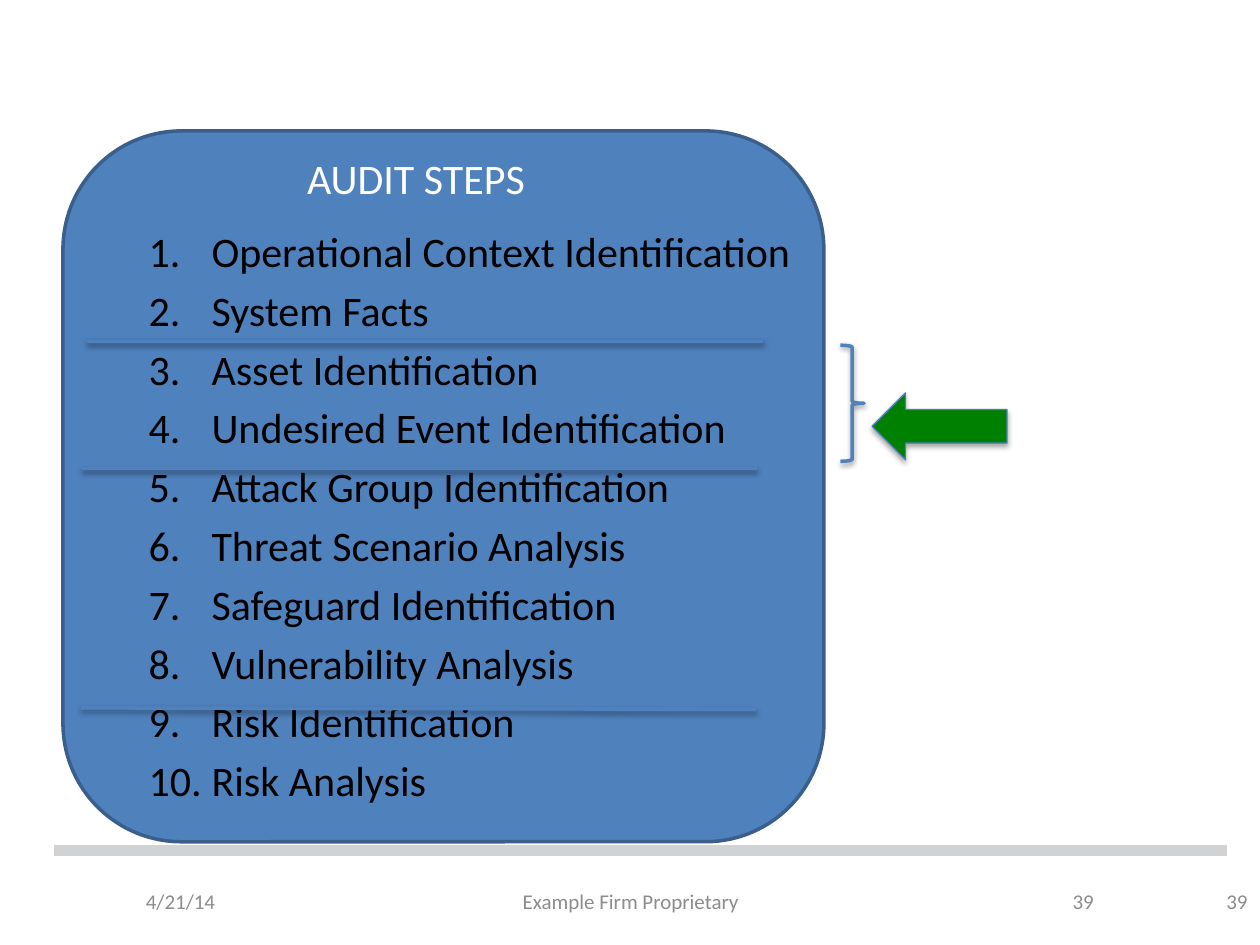
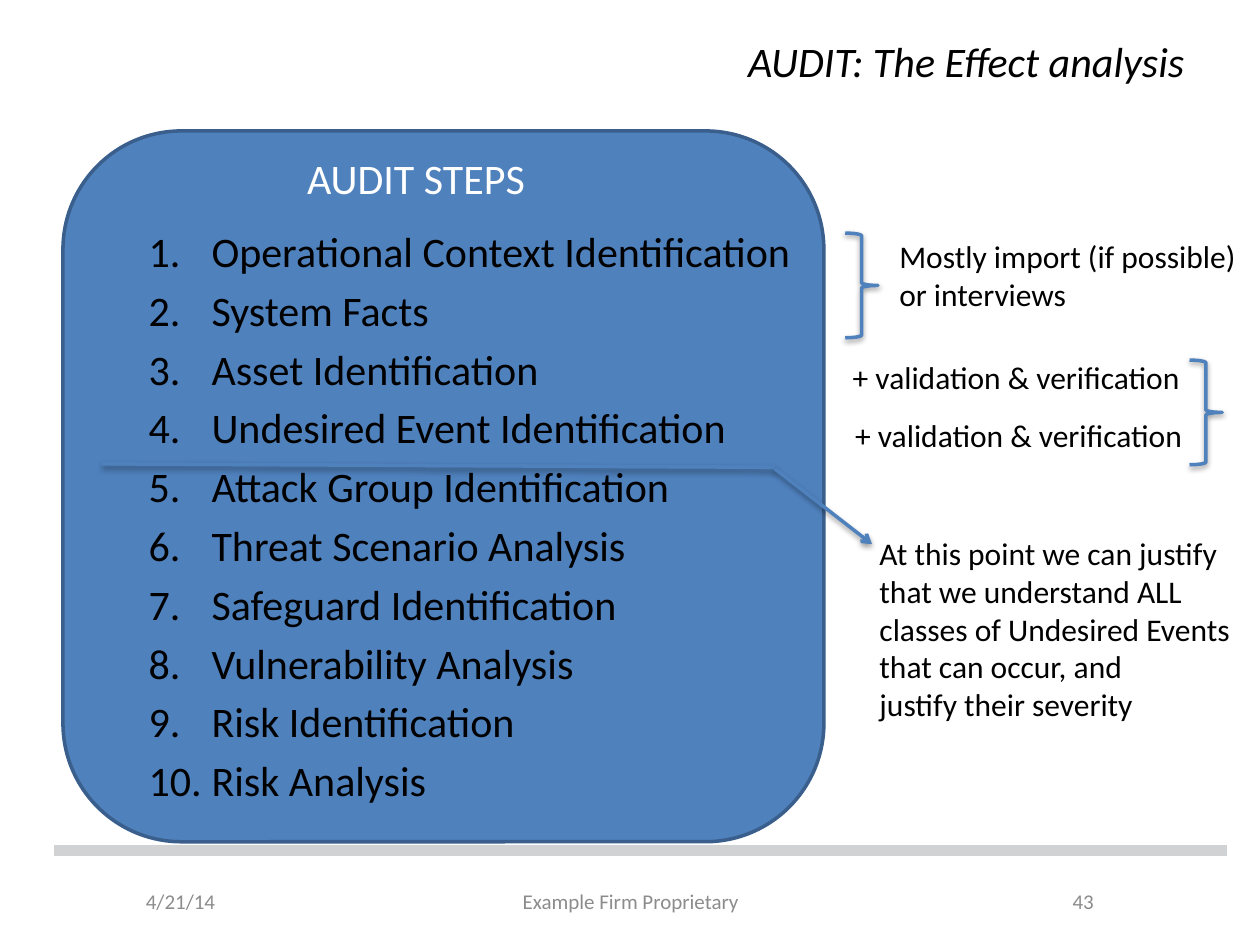
from lxml.etree import SubElement
from pptx import Presentation
from pptx.dml.color import RGBColor
from pptx.enum.shapes import MSO_CONNECTOR, MSO_SHAPE
from pptx.enum.text import MSO_ANCHOR, PP_ALIGN
from pptx.oxml.ns import qn
from pptx.util import Cm, Pt

# Content
STEPS = [
    "Operational Context Identification", "System Facts",
    "Asset Identification", "Undesired Event Identification",
    "Attack Group Identification", "Threat Scenario Analysis",
    "Safeguard Identification", "Vulnerability Analysis",
    "Risk Identification", "Risk Analysis",
]
PANEL_HEADING = "AUDIT STEPS"
DATE, OWNER = "4/21/14", "Example Firm Proprietary"

# Boxes are (left, top, width, height) and lines (x1, y1, x2, y2), in cm
SLIDES = [
    {
        "number": "39",
        "extra_number": True,
        "braces": [(16.94, 6.96, 0.48, 2.34)],
        "arrow": (17.58, 7.92, 2.72, 1.35),
        "dividers": [(1.75, 6.88, 15.39, 6.88), (1.65, 9.45, 15.27, 9.45),
                     (1.63, 14.27, 15.24, 14.3)],
    },
    {
        "number": "43",
        "title": "AUDIT: The Effect analysis",
        "braces": [(17.04, 4.7, 0.66, 2.11), (23.98, 7.26, 0.66, 2.11)],
        "notes": [
            ((17.88, 4.65, 7.52, 1.8),
             ["Mostly import (if possible)", "or interviews"]),
            ((16.94, 7.09, 7.19, 1.02), ["+ validation & verification"]),
            ((16.99, 8.26, 7.19, 1.02), ["+ validation & verification"]),
            ((17.48, 10.64, 7.9, 4.11),
             ["At this point we can justify", "that we understand ALL",
              "classes of Undesired Events", "that can occur, and",
              "justify their severity"]),
        ],
        "dividers": [(2.06, 9.35, 15.62, 9.42)],
        "pointer": (15.62, 9.45, 17.58, 10.97),
    },
]

# Shared look
COLORS = {"panel": "4F81BD", "panel_edge": "3A5F8C", "arrow": "008000",
          "arrow_edge": "4B7EBC", "rule": "D1D2D3", "footer": "8C8C8C",
          "text": "000000", "heading": "FFFFFF"}
FONT = "Calibri"
TITLE_BOX = (1.27, 0.53, 22.86, 1.4)
PANEL_BOX = (1.27, 2.64, 15.34, 14.33)
HEADING_BOX = (5.94, 2.95, 5.99, 1.27)
STEPS_BOX = (2.74, 4.42, 13.94, 12.42)
RULE = (1.09, 17.15, 24.74, 17.15)
FOOTER_TOP, FOOTER_HEIGHT = 17.65, 1.02
DATE_SPAN, OWNER_SPAN = (2.69, 4.5), (8.69, 8.05)
NUMBER_SPAN, EXTRA_SPAN = (18.21, 4.09), (21.31, 4.09)
SOFT_SHADOW = {"blurRad": 40000, "dist": 20000, "alpha": 38000}
ARROW_SHADOW = {"blurRad": 40000, "dist": 23000, "alpha": 35000}


def cm(values):
    return [Cm(v) for v in values]


def rgb(name):
    return RGBColor.from_string(COLORS[name])


def write(sp, lines, size, color, align=PP_ALIGN.LEFT,
          anchor=MSO_ANCHOR.TOP, italic=False):
    tf = sp.text_frame
    tf.word_wrap = True
    tf.vertical_anchor = anchor
    font = {"name": FONT, "size": Pt(size), "italic": italic}
    for i, line in enumerate(lines):
        p = tf.paragraphs[0] if i == 0 else tf.add_paragraph()
        p.alignment = align
        r = p.add_run()
        r.text = line
        for key, value in font.items():
            setattr(r.font, key, value)
        r.font.color.rgb = rgb(color)
    return tf


def add_text(s, box, lines, size, color, **layout):
    return write(s.shapes.add_textbox(*cm(box)), lines, size, color, **layout)


def set_shadow(sp, shadow=None):
    """Give a shape the stated shadow, or none at all."""
    effects = sp._element.spPr.get_or_add_ln().getparent()
    effects = SubElement(effects, qn("a:effectLst"))
    if shadow:
        outer = SubElement(effects, qn("a:outerShdw"), dir="5400000",
                           rotWithShape="0", blurRad=str(shadow["blurRad"]),
                           dist=str(shadow["dist"]))
        black = SubElement(outer, qn("a:srgbClr"), val="000000")
        SubElement(black, qn("a:alpha"), val=str(shadow["alpha"]))


def add_shape(s, kind, box, fill, edge, width, shadow=None):
    sp = s.shapes.add_shape(kind, *cm(box))
    if fill:
        sp.fill.solid()
        sp.fill.fore_color.rgb = rgb(fill)
    else:
        sp.fill.background()
    sp.line.color.rgb = rgb(edge)
    sp.line.width = Pt(width)
    set_shadow(sp, shadow)


def add_line(s, ends, color, width, shadow=None, arrow=False):
    line = s.shapes.add_connector(MSO_CONNECTOR.STRAIGHT, *cm(ends))
    line.line.color.rgb = rgb(color)
    line.line.width = Pt(width)
    if arrow:
        SubElement(line.line._get_or_add_ln(), qn("a:tailEnd"), type="arrow")
    set_shadow(line, shadow)


def place(s, sp, box):
    """Move a placeholder into position, in front of what is drawn so far."""
    sp.left, sp.top, sp.width, sp.height = cm(box)
    s.shapes._spTree.append(sp._element)


def add_footer_text(s, span, text, align):
    left, width = span
    add_text(s, (left, FOOTER_TOP, width, FOOTER_HEIGHT), [text], 12,
             "footer", align=align, anchor=MSO_ANCHOR.MIDDLE)


def add_frame(s, number):
    add_footer_text(s, DATE_SPAN, DATE, PP_ALIGN.LEFT)
    add_footer_text(s, NUMBER_SPAN, number, PP_ALIGN.RIGHT)
    add_footer_text(s, OWNER_SPAN, OWNER, PP_ALIGN.CENTER)
    add_line(s, RULE, "rule", 6)


def add_steps(s):
    add_shape(s, MSO_SHAPE.ROUNDED_RECTANGLE, PANEL_BOX, "panel",
              "panel_edge", 2)
    add_text(s, HEADING_BOX, [PANEL_HEADING], 24, "heading")
    body = s.placeholders[1]
    place(s, body, STEPS_BOX)
    for p in write(body, STEPS, 24, "text").paragraphs:
        pPr = p._p.get_or_add_pPr()
        pPr.set("marL", str(Cm(1.27)))
        pPr.set("indent", str(-Cm(1.27)))
        SubElement(pPr, qn("a:buFont"), typeface=FONT)
        SubElement(pPr, qn("a:buAutoNum"), type="arabicPeriod")


def add_title(s, text):
    title = s.shapes.title
    if text:
        place(s, title, TITLE_BOX)
        write(title, [text], 24, "text", align=PP_ALIGN.RIGHT,
              anchor=MSO_ANCHOR.MIDDLE, italic=True)
    else:
        s.shapes._spTree.remove(title._element)


def build_slide(prs, data):
    s = prs.slides.add_slide(prs.slide_layouts[1])
    add_frame(s, data["number"])
    add_steps(s)
    add_title(s, data.get("title"))
    if data.get("extra_number"):
        add_footer_text(s, EXTRA_SPAN, data["number"], PP_ALIGN.RIGHT)

    # Marks and remarks beside the steps
    if "arrow" in data:
        add_shape(s, MSO_SHAPE.LEFT_ARROW, data["arrow"], "arrow",
                  "arrow_edge", 0.75, ARROW_SHADOW)
    for box in data["braces"]:
        add_shape(s, MSO_SHAPE.RIGHT_BRACE, box, None, "panel", 2, SOFT_SHADOW)
    for box, lines in data.get("notes", []):
        add_text(s, box, lines, 18, "text")

    # Lines between groups of steps
    for ends in data["dividers"]:
        add_line(s, ends, "panel", 2, SOFT_SHADOW)
    if "pointer" in data:
        add_line(s, data["pointer"], "panel", 2, SOFT_SHADOW, arrow=True)


def main():
    prs = Presentation()
    prs.slide_width, prs.slide_height = Cm(25.4), Cm(19.05)
    for data in SLIDES:
        build_slide(prs, data)
    prs.save("out.pptx")


if __name__ == "__main__":
    main()
